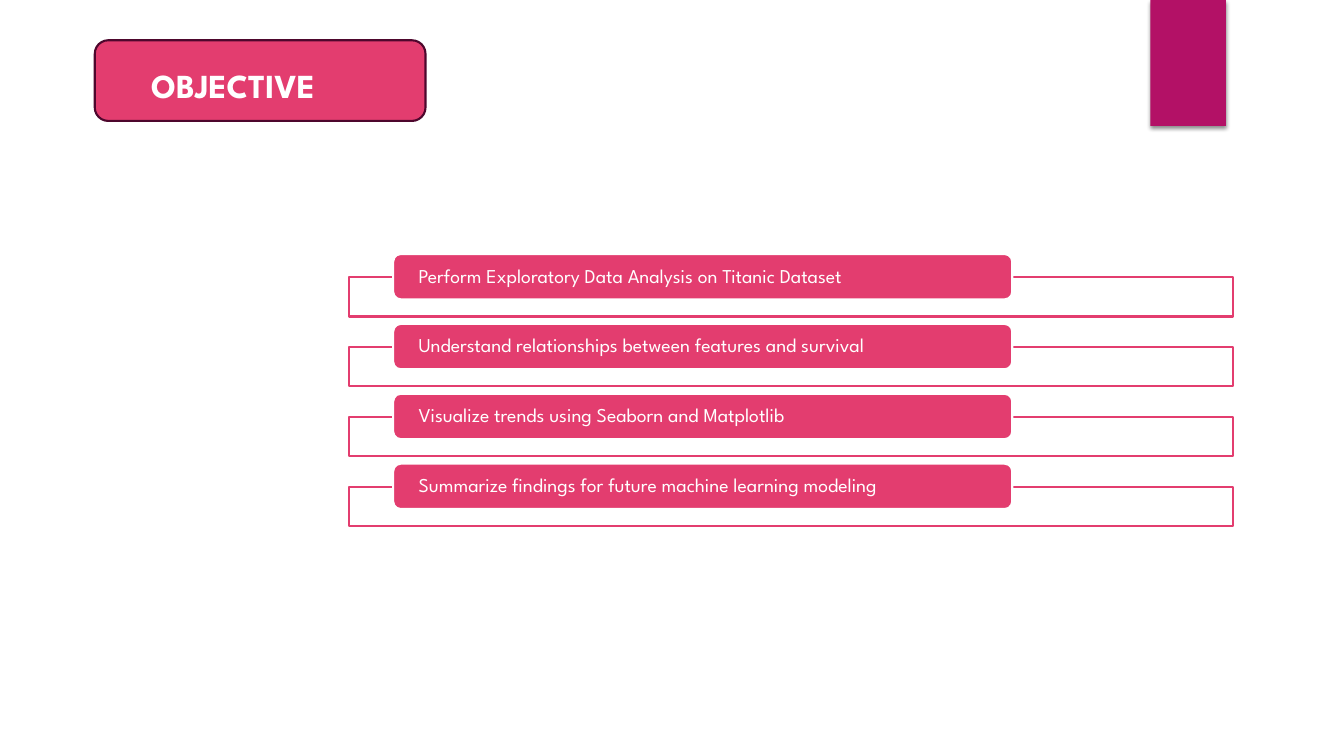
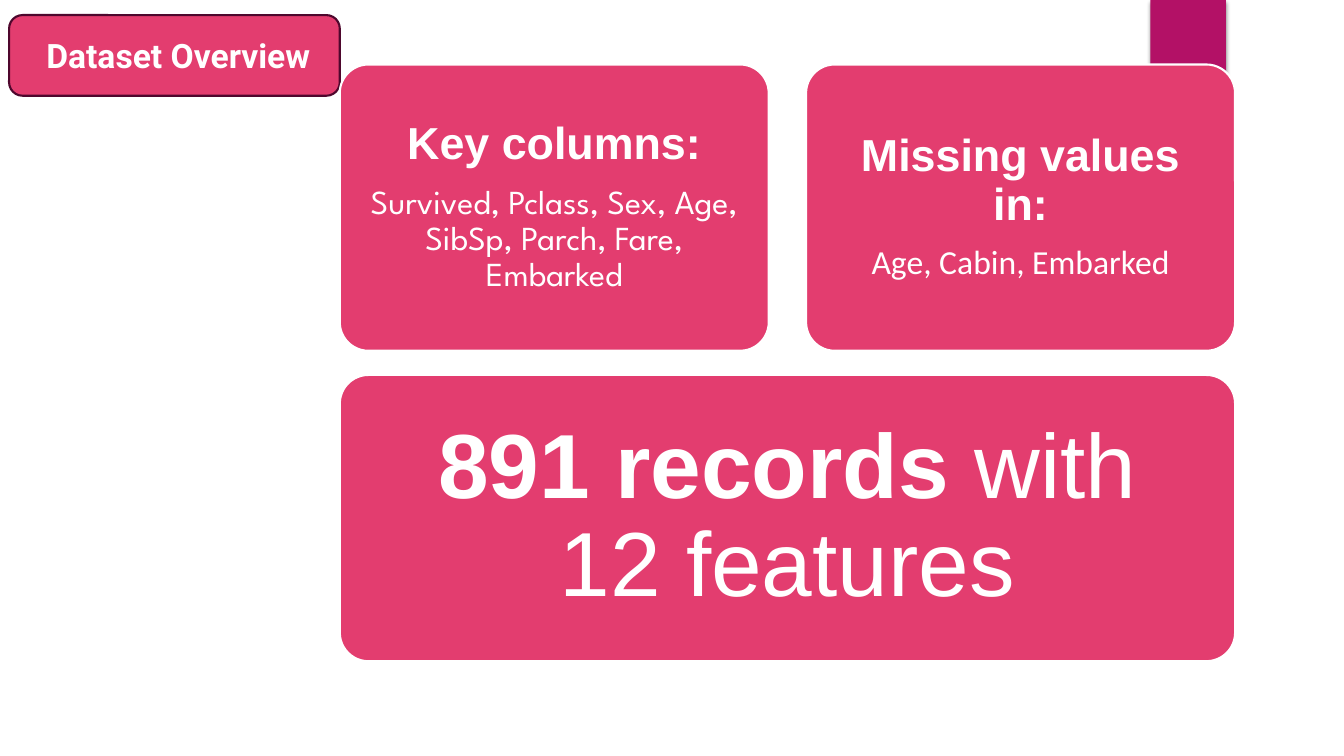
"""Build the objective and dataset overview slides."""
from dataclasses import dataclass
from typing import Optional

from lxml.etree import SubElement
from pptx import Presentation
from pptx.dml.color import RGBColor
from pptx.enum.shapes import MSO_SHAPE as Preset
from pptx.enum.text import MSO_ANCHOR as Anchor, PP_ALIGN as Align
from pptx.oxml.ns import qn
from pptx.shapes.autoshape import Shape
from pptx.slide import Slide
from pptx.util import Inches, Pt

PINK, PLUM, MAGENTA, WHITE = "E33D6F", "4E072D", "B31166", "FFFFFF"
HEADING_FONT, BODY_FONT = "Arial", "League Spartan"

GOALS = (
    "Perform Exploratory Data Analysis on Titanic Dataset",
    "Understand relationships between features and survival",
    "Visualize trends using Seaborn and Matplotlib",
    "Summarize findings for future machine learning modeling",
)
GOAL_PITCH = 2.08 / 3

GRID_LEFT, GRID_TOP, GRID_WIDTH = 3.37, 0.64, 8.88
COLUMN_GAP, ROW_GAP, CARD_HEIGHT = 0.37, 0.24, 2.84
CARD_WIDTH = (GRID_WIDTH - COLUMN_GAP) / 2


@dataclass(frozen=True)
class Box:
    left: float
    top: float
    width: float
    height: float


@dataclass(frozen=True)
class Span:
    text: str
    size: float
    font: str = HEADING_FONT
    bold: bool = False


@dataclass(frozen=True)
class Title:
    span: Span
    box: Box
    indent: float
    drop: float


@dataclass(frozen=True)
class Card:
    box: Box
    inset: float
    paragraphs: tuple[tuple[Span, ...], ...]


OBJECTIVE = Title(Span("OBJECTIVE", 24, BODY_FONT, True),
                  Box(0.94, 0.4, 3.28, 0.8), 0.52, 0.21)
OVERVIEW = Title(Span("Dataset Overview", 24, "Roboto", True),
                 Box(0.09, 0.15, 3.28, 0.8), 0.33, 0.16)


def card_box(row: int, column: int, columns: int = 1) -> Box:
    return Box(GRID_LEFT + column * (CARD_WIDTH + COLUMN_GAP),
               GRID_TOP + row * (CARD_HEIGHT + ROW_GAP),
               columns * CARD_WIDTH + (columns - 1) * COLUMN_GAP, CARD_HEIGHT)


CARDS = (
    Card(card_box(1, 0, 2), 0.27, (
        (Span("891 records", 65, bold=True), Span(" with 12 features", 65)),
    )),
    Card(card_box(0, 0), 0.13, (
        (Span("Key columns:", 32, bold=True),),
        (Span("Survived, Pclass, Sex, Age, SibSp, Parch, Fare, Embarked", 24, BODY_FONT),),
    )),
    Card(card_box(0, 1), 0.13, (
        (Span("Missing values in:", 32, bold=True),),
        (Span("Age, Cabin, Embarked", 24, "Calibri"),),
    )),
)


def color(code: str) -> RGBColor:
    return RGBColor.from_string(code)


def set_all(target: object, values: dict[str, object]) -> None:
    for name, value in values.items():
        setattr(target, name, value)


def add_box(page: Slide, preset: Preset, box: Box, fill: str,
            line: Optional[str] = None) -> Shape:
    shape = page.shapes.add_shape(preset, Inches(box.left), Inches(box.top),
                                  Inches(box.width), Inches(box.height))
    shape.shadow.inherit = False
    shape.fill.solid()
    shape.fill.fore_color.rgb = color(fill)
    if line:
        shape.line.color.rgb = color(line)
        shape.line.width = Pt(1.5)
    else:
        shape.line.fill.background()
    return shape


def add_text(shape: Shape, paragraphs: tuple[tuple[Span, ...], ...],
             margins: tuple[float, float, float, float], align: Align,
             anchor: Anchor = Anchor.MIDDLE, line_spacing: float = 0.9) -> None:
    frame = shape.text_frame
    left, top, right, bottom = map(Inches, margins)
    set_all(frame, {"word_wrap": True, "vertical_anchor": anchor,
                    "margin_left": left, "margin_top": top,
                    "margin_right": right, "margin_bottom": bottom})
    for index, spans in enumerate(paragraphs):
        para = frame.add_paragraph() if index else frame.paragraphs[0]
        set_all(para, {"alignment": align, "line_spacing": line_spacing,
                       "space_after": Pt(0.35 * spans[0].size)})
        for span in spans:
            run = para.add_run()
            run.text = span.text
            set_all(run.font, {"name": span.font, "size": Pt(span.size),
                               "bold": span.bold})
            run.font.color.rgb = color(WHITE)


def set_alpha(color_element, percent: int) -> None:
    SubElement(color_element, qn("a:alpha"), val=str(percent * 1000))


def add_layout_band(page: Slide) -> None:
    band = add_box(page, Preset.RECTANGLE, Box(11.41, 0, 0.75, 1.25), MAGENTA)
    effects = band.element.spPr.find(qn("a:effectLst"))
    shadow = SubElement(effects, qn("a:outerShdw"), blurRad=str(Pt(3)),
                        dist=str(Pt(2)), dir="5400000", rotWithShape="0")
    set_alpha(SubElement(shadow, qn("a:srgbClr"), val="000000"), 45)
    tree = page.slide_layout.shapes.element
    used = [int(item.get("id")) for item in tree.iter(qn("p:cNvPr"))]
    band.element.find(".//" + qn("p:cNvPr")).set("id", str(max(used) + 1))
    tree.append(band.element)


def add_title(page: Slide, title: Title) -> None:
    shape = add_box(page, Preset.ROUNDED_RECTANGLE, title.box, PINK, PLUM)
    add_text(shape, ((title.span,),), (title.indent, title.drop, 0, 0),
             Align.LEFT, Anchor.TOP, 1.0)


def add_goal(page: Slide, text: str, offset: float) -> None:
    frame = add_box(page, Preset.RECTANGLE,
                    Box(3.46, 2.75 + offset, 8.77, 0.39), WHITE, PINK)
    set_alpha(frame.element.spPr.find(qn("a:solidFill"))[0], 90)
    bar = add_box(page, Preset.ROUNDED_RECTANGLE,
                  Box(3.9, 2.52 + offset, 6.14, 0.45), PINK, WHITE)
    add_text(bar, ((Span(text, 14, BODY_FONT),),), (0.23, 0, 0.23, 0), Align.LEFT)


def add_card(page: Slide, card: Card) -> None:
    shape = add_box(page, Preset.ROUNDED_RECTANGLE, card.box, PINK, WHITE)
    shape.adjustments[0] = 0.1
    add_text(shape, card.paragraphs, (card.inset,) * 4, Align.CENTER)


def main() -> None:
    deck = Presentation()
    deck.slide_width, deck.slide_height = Inches(13.33), Inches(7.5)
    blank = deck.slide_layouts[6]

    objective = deck.slides.add_slide(blank)
    add_layout_band(objective)
    add_title(objective, OBJECTIVE)
    for index, goal in enumerate(GOALS):
        add_goal(objective, goal, index * GOAL_PITCH)

    overview = deck.slides.add_slide(blank)
    add_title(overview, OVERVIEW)
    for card in CARDS:
        add_card(overview, card)

    deck.save("out.pptx")


if __name__ == "__main__":
    main()
